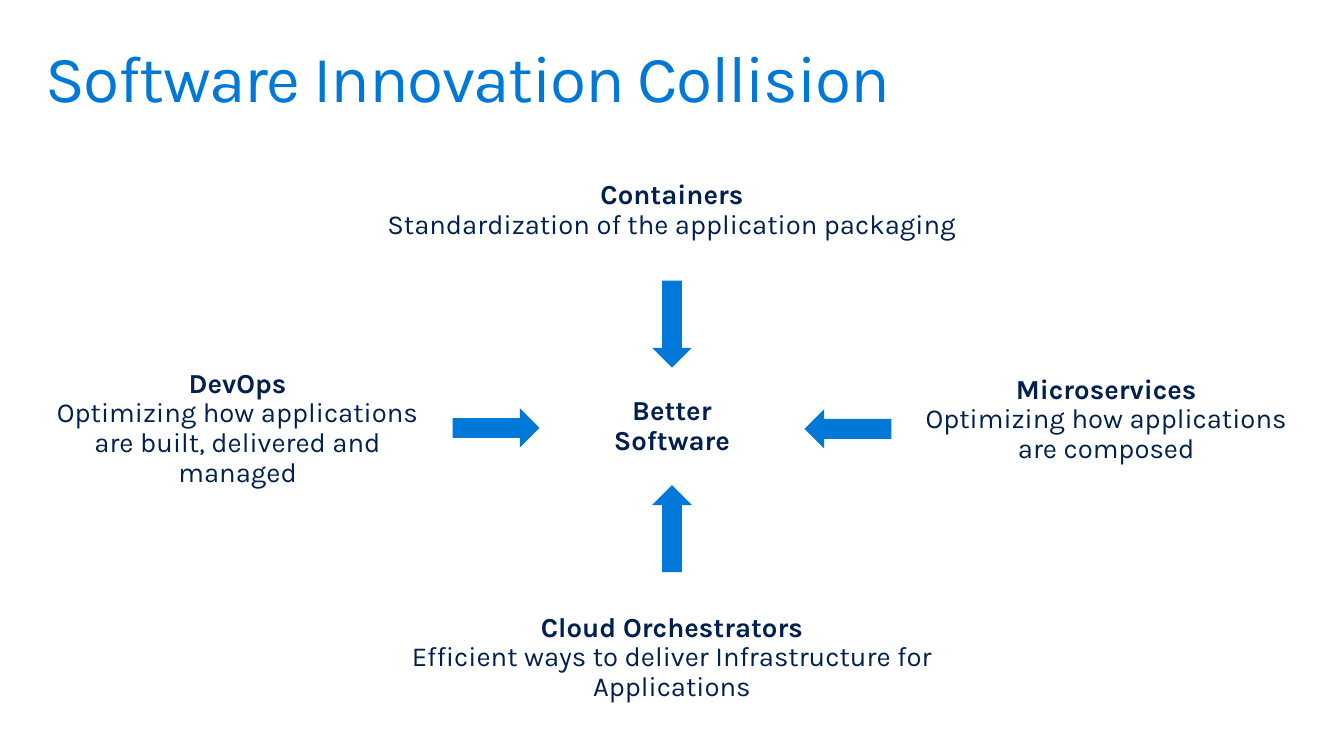
"""Build the Software Innovation Collision slide."""
from dataclasses import dataclass

from pptx import Presentation
from pptx.dml.color import RGBColor
from pptx.enum.shapes import MSO_SHAPE
from pptx.enum.text import MSO_ANCHOR, MSO_AUTO_SIZE, PP_ALIGN
from pptx.slide import Slide
from pptx.text.text import TextFrame
from pptx.util import Pt

PX = 9144
BLUE = "0078D7"
NAVY = "002050"
FONT = "Karla"
DOWN = MSO_SHAPE.DOWN_ARROW
LEFT = PP_ALIGN.LEFT
CENTER = PP_ALIGN.CENTER
TOP = MSO_ANCHOR.TOP
MIDDLE = MSO_ANCHOR.MIDDLE
GROW = MSO_AUTO_SIZE.SHAPE_TO_FIT_TEXT
FIXED = MSO_AUTO_SIZE.NONE
TITLE_ONLY = 5


@dataclass(frozen=True)
class Label:
    head: str
    body: str
    left: int
    top: int
    width: int
    height: int
    pad: tuple[int, int] = (10, 5)
    after: float = 0


@dataclass(frozen=True)
class Arrow:
    x: int
    y: int
    turn: int


LABELS = [
    Label("Better Software", "", 567, 386, 226, 94, pad=(20, 16), after=6.1),
    Label("DevOps", "Optimizing how applications are built, delivered and managed",
          44, 369, 393, 131),
    Label("Containers", "Standardization of the application packaging",
          340, 178, 680, 71),
    Label("Microservices", "Optimizing how applications are composed",
          923, 375, 393, 101),
    Label("Cloud Orchestrators",
          "Efficient ways to deliver Infrastructure for Applications",
          340, 616, 680, 101),
]
ARROWS = [
    Arrow(502, 433, 270),
    Arrow(680, 328, 0),
    Arrow(680, 535, 180),
    Arrow(858, 434, 90),
]
ARROW_W, ARROW_H = 40, 88


def px(num: int) -> int:
    return num * PX


def color(code: str) -> RGBColor:
    return RGBColor.from_string(code)


def frame(box: TextFrame, pad: tuple[int, int], anchor: MSO_ANCHOR,
          fit: MSO_AUTO_SIZE) -> None:
    box.word_wrap = True
    box.auto_size = fit
    box.vertical_anchor = anchor
    box.margin_left = box.margin_right = px(pad[0])
    box.margin_top = box.margin_bottom = px(pad[1])


def write(box: TextFrame, text: str, *, size: int = 20, ink: str = NAVY,
          bold: bool = False, align: PP_ALIGN = CENTER, after: float = 0,
          track: int = 0) -> None:
    para = box.add_paragraph() if box.text else box.paragraphs[0]
    para.alignment = align
    para.line_spacing = 0.9
    para.space_before = Pt(0)
    para.space_after = Pt(after)
    run = para.add_run()
    run.text = text
    font = run.font
    font.name = FONT
    font.size = Pt(size)
    font.bold = bold
    font.color.rgb = color(ink)
    if track:
        run._r.get_or_add_rPr().set("spc", str(track))


def add_title(slide: Slide, text: str) -> None:
    title = slide.shapes.title
    title.left, title.top = px(30), px(32)
    title.width, title.height = px(1300), px(100)
    frame(title.text_frame, (16, 10), MIDDLE, FIXED)
    write(title.text_frame, text, size=48, ink=BLUE, align=LEFT, track=-100)


def add_label(slide: Slide, label: Label) -> None:
    box = slide.shapes.add_textbox(px(label.left), px(label.top),
                                   px(label.width), px(label.height)).text_frame
    frame(box, label.pad, TOP, GROW)
    write(box, label.head, bold=True, after=label.after)
    if label.body:
        write(box, label.body)


def add_arrow(slide: Slide, arrow: Arrow) -> None:
    shape = slide.shapes.add_shape(DOWN, px(arrow.x - ARROW_W // 2),
                                   px(arrow.y - ARROW_H // 2),
                                   px(ARROW_W), px(ARROW_H))
    shape.rotation = arrow.turn
    shape.shadow.inherit = False
    shape.fill.solid()
    shape.fill.fore_color.rgb = color(BLUE)
    shape.line.fill.background()


def main() -> None:
    deck = Presentation()
    deck.slide_width, deck.slide_height = px(1360), px(765)
    slide = deck.slides.add_slide(deck.slide_layouts[TITLE_ONLY])
    add_title(slide, "Software Innovation Collision")
    for label in LABELS:
        add_label(slide, label)
    for arrow in ARROWS:
        add_arrow(slide, arrow)
    deck.save("out.pptx")


if __name__ == "__main__":
    main()
